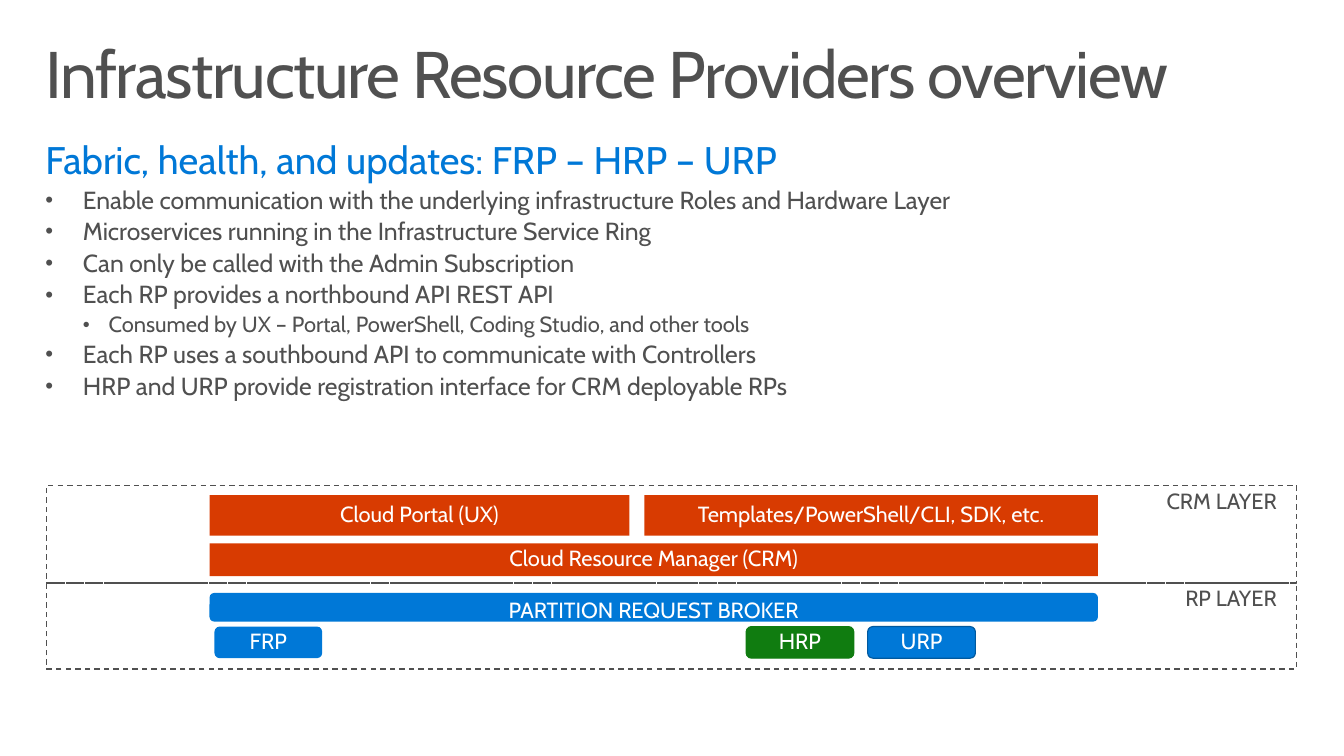
from lxml import etree
from pptx import Presentation
from pptx.dml.color import RGBColor
from pptx.enum.dml import MSO_LINE
from pptx.enum.shapes import MSO_SHAPE as SHAPE
from pptx.enum.text import MSO_ANCHOR as ANCHOR, MSO_AUTO_SIZE as AUTO, PP_ALIGN as ALIGN
from pptx.oxml.ns import qn
from pptx.util import Inches, Pt

FONT = "Cabin"
GRAY, BLUE, NAVY = "505050", "0078D7", "00599F"
ORANGE, GREEN, WHITE = "D83B01", "107C10", "FFFFFF"

TITLE = "Infrastructure Resource Providers overview"
HEADING = "Fabric, health, and updates: FRP – HRP – URP"
BULLETS = [
    (0, "Enable communication with the underlying infrastructure Roles and Hardware Layer"),
    (0, "Microservices running in the Infrastructure Service Ring"),
    (0, "Can only be called with the Admin Subscription"),
    (0, "Each RP provides a northbound API REST API"),
    (1, "Consumed by UX – Portal, PowerShell, Coding Studio, and other tools"),
    (0, "Each RP uses a southbound API to communicate with Controllers"),
    (0, "HRP and URP provide registration interface for CRM deployable RPs"),
]
LEVELS = [(18, 0.38, 0.38), (16, 0.64, 0.26)]

LAYERS = [("CRM LAYER", 4.91, 0.99), ("RP LAYER", 5.9, 0.87)]
STACK_X, STACK_W = 2.12, 8.99
CRM_BOXES = [
    ("Cloud Portal (UX)", STACK_X, 5.01, 4.25, 0.41),
    ("Templates/PowerShell/CLI, SDK, etc.", 6.52, 5.01, 4.59, 0.41),
    ("Cloud Resource Manager (CRM)", STACK_X, 5.5, STACK_W, 0.33),
]
BROKER = ("PARTITION REQUEST BROKER", STACK_X, 6, STACK_W, 0.29)
PROVIDERS = [
    ("FRP", 2.17, BLUE, None, 0),
    ("HRP", 7.55, GREEN, GREEN, 0.75),
    ("URP", 8.78, BLUE, NAVY, 0.85),
]


def rgb(color):
    return RGBColor.from_string(color)


def set_frame(tf, mx, my, anchor):
    tf.word_wrap = True
    tf.auto_size = AUTO.NONE
    tf.margin_left = tf.margin_right = Inches(mx)
    tf.margin_top = tf.margin_bottom = Inches(my)
    tf.vertical_anchor = anchor


def write(p, text, size, color, align=ALIGN.LEFT):
    p.alignment = align
    p.line_spacing = 0.9
    r = p.add_run()
    r.text = text
    r.font.name, r.font.size = FONT, Pt(size)
    r.font.color.rgb = rgb(color)
    return r


def add_bullet(p, level):
    size, left, hang = LEVELS[level]
    p.level = level
    p.space_before = Pt(size * 0.2)
    pPr = p._p.get_or_add_pPr()
    pPr.set("marL", str(Inches(left)))
    pPr.set("indent", str(-Inches(hang)))
    for tag, key, value in [("a:buSzPct", "val", "90000"),
                            ("a:buFont", "typeface", "Arial"),
                            ("a:buChar", "char", "•")]:
        etree.SubElement(pPr, qn(tag)).set(key, value)
    return size


def add_box(s, kind, text, x, y, w, h, fill=None, line=None, width=0,
            color=WHITE, align=ALIGN.CENTER, anchor=ANCHOR.MIDDLE):
    sp = s.shapes.add_shape(kind, Inches(x), Inches(y), Inches(w), Inches(h))
    sp.shadow.inherit = False
    if fill:
        sp.fill.solid()
        sp.fill.fore_color.rgb = rgb(fill)
    else:
        sp.fill.background()
    if line:
        sp.line.color.rgb = rgb(line)
        sp.line.width = Pt(width)
    else:
        sp.line.fill.background()
    set_frame(sp.text_frame, 0.2, 0.05, anchor)
    write(sp.text_frame.paragraphs[0], text, 16, color, align)
    return sp


def add_title(s):
    title = s.shapes.title
    title.left, title.top = Inches(0.3), Inches(0.32)
    title.width, title.height = Inches(13), Inches(1)
    set_frame(title.text_frame, 0.16, 0.1, ANCHOR.TOP)
    r = write(title.text_frame.paragraphs[0], TITLE, 48, GRAY)
    r.font._element.set("spc", "-100")


def add_body(s):
    body = s.shapes.add_textbox(Inches(0.3), Inches(1.33), Inches(13), Inches(3.5))
    tf = body.text_frame
    set_frame(tf, 0.16, 0.1, ANCHOR.TOP)
    write(tf.paragraphs[0], HEADING, 28, BLUE)
    for level, text in BULLETS:
        p = tf.add_paragraph()
        size = add_bullet(p, level)
        write(p, text, size, GRAY)


def add_diagram(s):
    for name, y, h in LAYERS:
        layer = add_box(s, SHAPE.RECTANGLE, name, 0.47, y, 12.65, h, line=GRAY, width=1,
                        color=GRAY, align=ALIGN.RIGHT, anchor=ANCHOR.TOP)
        layer.line.dash_style = MSO_LINE.DASH
    for box in CRM_BOXES:
        add_box(s, SHAPE.RECTANGLE, *box, fill=ORANGE)
    add_box(s, SHAPE.ROUNDED_RECTANGLE, *BROKER, fill=BLUE, anchor=ANCHOR.TOP)
    for name, x, fill, line, width in PROVIDERS:
        add_box(s, SHAPE.ROUNDED_RECTANGLE, name, x, 6.34, 1.09, 0.32, fill, line, width)


def main():
    prs = Presentation()
    prs.slide_width, prs.slide_height = Inches(13.6), Inches(7.65)
    s = prs.slides.add_slide(prs.slide_layouts[5])
    add_title(s)
    add_body(s)
    add_diagram(s)
    prs.save("out.pptx")


if __name__ == "__main__":
    main()
